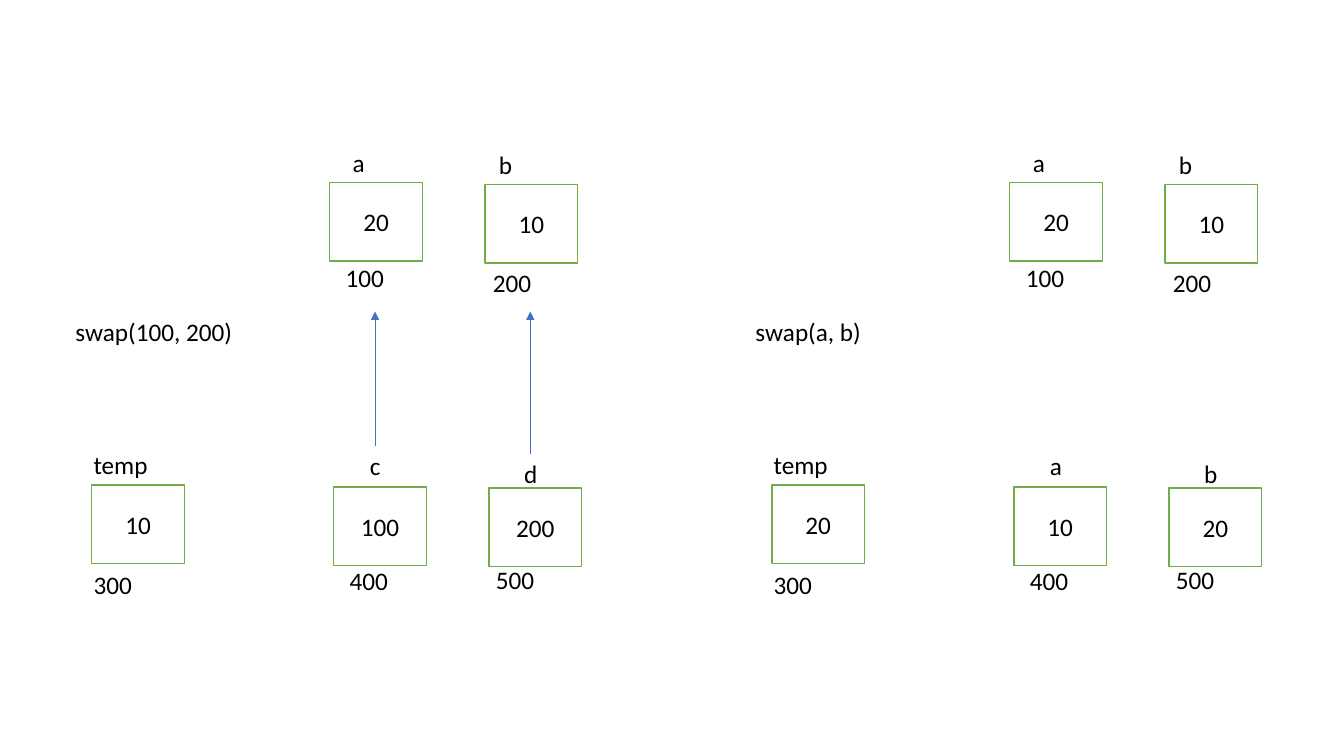
from lxml import etree
from pptx import Presentation
from pptx.dml.color import RGBColor
from pptx.enum.shapes import MSO_CONNECTOR, MSO_SHAPE
from pptx.enum.text import MSO_ANCHOR, MSO_AUTO_SIZE, PP_ALIGN
from pptx.oxml.ns import qn
from pptx.util import Inches, Pt

RECTANGLE = MSO_SHAPE.RECTANGLE
STRAIGHT = MSO_CONNECTOR.STRAIGHT
MIDDLE = MSO_ANCHOR.MIDDLE
CENTER = PP_ALIGN.CENTER
FIT_SHAPE = MSO_AUTO_SIZE.SHAPE_TO_FIT_TEXT

WHITE = RGBColor(0xFF, 0xFF, 0xFF)
BLACK = RGBColor(0x00, 0x00, 0x00)
GREEN = RGBColor(0x70, 0xAD, 0x47)
BLUE = RGBColor(0x44, 0x72, 0xC4)

# Each variable is a name and the value it holds, in the order of CELLS.
PANELS = [
    {"left": 0, "call": "swap(100, 200)",
     "variables": [("a", "20"), ("b", "10"), ("temp", "10"), ("c", "100"), ("d", "200")],
     "pointers": [(3.72, 4.42), (5.26, 4.5)]},
    {"left": 6.745, "call": "swap(a, b)",
     "variables": [("a", "20"), ("b", "10"), ("temp", "20"), ("a", "10"), ("b", "20")],
     "pointers": []},
]
# Address, then the left and top of the box, the name and the address.
CELLS = [
    ("100", (3.27, 1.81), (3.4, 1.41), (3.33, 2.55)),
    ("200", (4.81, 1.83), (4.85, 1.43), (4.79, 2.6)),
    ("300", (0.91, 4.81), (0.83, 4.41), (0.83, 5.6)),
    ("400", (3.31, 4.83), (3.57, 4.42), (3.37, 5.56)),
    ("500", (4.85, 4.84), (5.1, 4.5), (4.82, 5.55)),
]
CALL_AT = (0.65, 3.09)
POINTER_TOP = 3.09
BOX_WIDTH, BOX_HEIGHT = 0.92, 0.78
LABEL_HEIGHT = 0.4
LABEL_WIDTHS = {"a": 0.32, "b": 0.34, "c": 0.31, "d": 0.34, "temp": 0.74,
                "swap(100, 200)": 1.77, "swap(a, b)": 1.26}
ADDRESS_WIDTH = 0.59


def write(frame, text):
    frame.text = text
    font = frame.paragraphs[0].runs[0].font
    font.name = "Calibri"
    font.size = Pt(18)
    font.color.rgb = BLACK


def add_label(page, text, left, top):
    width = LABEL_WIDTHS.get(text, ADDRESS_WIDTH)
    label = page.shapes.add_textbox(Inches(left), Inches(top),
                                    Inches(width), Inches(LABEL_HEIGHT))
    write(label.text_frame, text)
    label.text_frame.word_wrap = False
    label.text_frame.auto_size = FIT_SHAPE


def add_value_box(page, value, left, top):
    box = page.shapes.add_shape(RECTANGLE, Inches(left), Inches(top),
                                Inches(BOX_WIDTH), Inches(BOX_HEIGHT))
    box.shadow.inherit = False
    box.fill.solid()
    box.fill.fore_color.rgb = WHITE
    box.line.color.rgb = GREEN
    box.line.width = Pt(1)
    write(box.text_frame, value)
    box.text_frame.vertical_anchor = MIDDLE
    box.text_frame.paragraphs[0].alignment = CENTER


def add_pointer(page, left, bottom):
    pointer = page.shapes.add_connector(STRAIGHT, Inches(left), Inches(bottom),
                                        Inches(left), Inches(POINTER_TOP))
    pointer.line.color.rgb = BLUE
    pointer.line.width = Pt(0.5)
    etree.SubElement(pointer.line._get_or_add_ln(), qn("a:tailEnd"), type="triangle")
    etree.SubElement(pointer._element.spPr, qn("a:effectLst"))


def add_panel(page, panel):
    shift = panel["left"]
    for (name, value), (address, box_at, name_at, address_at) in zip(panel["variables"], CELLS):
        add_value_box(page, value, shift + box_at[0], box_at[1])
        add_label(page, name, shift + name_at[0], name_at[1])
        add_label(page, address, shift + address_at[0], address_at[1])
    add_label(page, panel["call"], shift + CALL_AT[0], CALL_AT[1])
    for left, bottom in panel["pointers"]:
        add_pointer(page, shift + left, bottom)


def main():
    deck = Presentation()
    deck.slide_width = Inches(13.33)
    deck.slide_height = Inches(7.5)
    page = deck.slides.add_slide(deck.slide_layouts[6])
    for panel in PANELS:
        add_panel(page, panel)
    deck.save("out.pptx")


if __name__ == "__main__":
    main()
